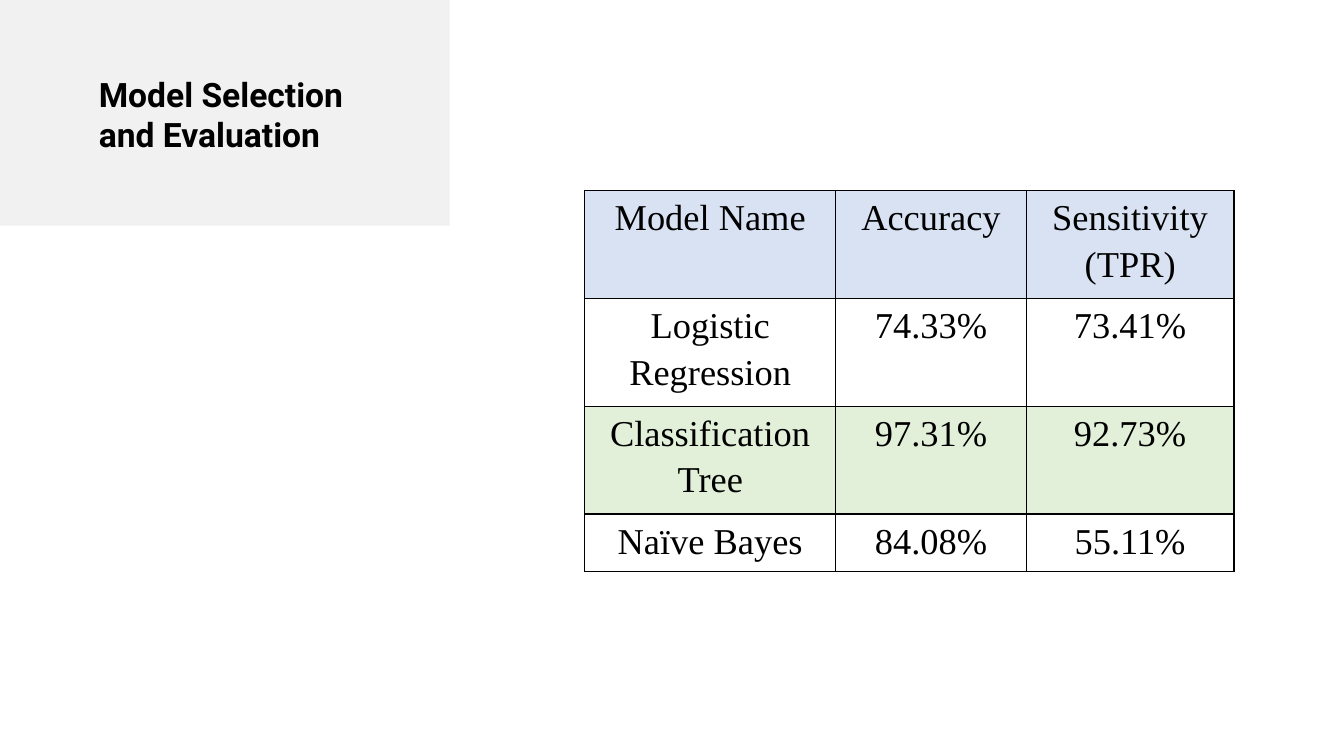
from lxml import etree
from pptx import Presentation
from pptx.dml.color import RGBColor
from pptx.enum.shapes import MSO_SHAPE
from pptx.enum.text import MSO_ANCHOR, MSO_AUTO_SIZE, PP_ALIGN
from pptx.oxml.ns import qn
from pptx.util import Inches, Pt

RECTANGLE = MSO_SHAPE.RECTANGLE
MIDDLE, TOP = MSO_ANCHOR.MIDDLE, MSO_ANCHOR.TOP
LEFT, CENTER = PP_ALIGN.LEFT, PP_ALIGN.CENTER

# Content
TITLE = "Model Selection and Evaluation"
RESULTS = [
    ("Model Name", "Accuracy", "Sensitivity\n(TPR)"),
    ("Logistic Regression", "74.33%", "73.41%"),
    ("Classification Tree", "97.31%", "92.73%"),
    ("Naïve Bayes", "84.08%", "55.11%"),
]
HEADER_ROW, BEST_ROW = 0, 2
COLUMN_WIDTHS = (2.49, 1.89, 2.06)
ROW_HEIGHTS = (1.07, 1.07, 1.07, 0.57)


class Theme:
    title_font, title_size = "Roboto", Pt(24)
    table_font, table_size = "Times New Roman", Pt(26)
    text = RGBColor.from_string("000000")
    panel = RGBColor.from_string("F2F1F1")
    row_fills = {
        HEADER_ROW: RGBColor.from_string("D9E2F3"),
        BEST_ROW: RGBColor.from_string("E2F0D9"),
    }
    border_width = Pt(1)


def style_font(font, name, size, bold):
    font.name, font.size, font.bold = name, size, bold
    font.color.rgb = Theme.text


def add_borders(cell):
    properties = cell._tc.get_or_add_tcPr()
    for side in ("a:lnL", "a:lnR", "a:lnT", "a:lnB"):
        line = etree.SubElement(properties, qn(side), w=str(Theme.border_width))
        fill = etree.SubElement(line, qn("a:solidFill"))
        etree.SubElement(fill, qn("a:srgbClr"), val=str(Theme.text))


def fill_cell(cell, value, row_fill):
    cell.margin_left = cell.margin_right = Inches(0.16)
    cell.margin_top, cell.margin_bottom = Inches(0.02), 0
    cell.vertical_anchor = TOP
    add_borders(cell)
    if row_fill is None:
        cell.fill.background()
    else:
        cell.fill.solid()
        cell.fill.fore_color.rgb = row_fill
    cell.text_frame.text = value
    for paragraph in cell.text_frame.paragraphs:
        paragraph.alignment = CENTER
        paragraph.line_spacing = 1.15
        for run in paragraph.runs:
            style_font(run.font, Theme.table_font, Theme.table_size, False)


presentation = Presentation()
presentation.slide_width, presentation.slide_height = Inches(13.33), Inches(7.5)
slide = presentation.slides.add_slide(presentation.slide_layouts[5])

# Title panel, placed behind the title
panel = slide.shapes.add_shape(RECTANGLE, 0, 0, Inches(4.46), Inches(2.24))
panel.shadow.inherit = False
panel.fill.solid()
panel.fill.fore_color.rgb = Theme.panel
panel.line.fill.background()
slide.shapes._spTree.insert(2, panel._element)

# Title
title = slide.shapes.title
title.left, title.top = Inches(0.88), Inches(0.39)
title.width, title.height = Inches(3.14), Inches(1.48)
title_frame = title.text_frame
title_frame.text = TITLE
title_frame.word_wrap = True
title_frame.auto_size = MSO_AUTO_SIZE.NONE
title_frame.vertical_anchor = MIDDLE
title_paragraph = title_frame.paragraphs[0]
title_paragraph.alignment = LEFT
style_font(title_paragraph.runs[0].font, Theme.title_font, Theme.title_size, True)

# Results table
results = slide.shapes.add_table(
    len(RESULTS), len(COLUMN_WIDTHS), Inches(5.8), Inches(1.89),
    Inches(sum(COLUMN_WIDTHS)), Inches(sum(ROW_HEIGHTS)),
).table
results.horz_banding = False
for column, width in zip(results.columns, COLUMN_WIDTHS):
    column.width = Inches(width)
for row, height in zip(results.rows, ROW_HEIGHTS):
    row.height = Inches(height)
for row_index, values in enumerate(RESULTS):
    for column_index, value in enumerate(values):
        fill_cell(results.cell(row_index, column_index), value,
                  Theme.row_fills.get(row_index))

presentation.save("out.pptx")
